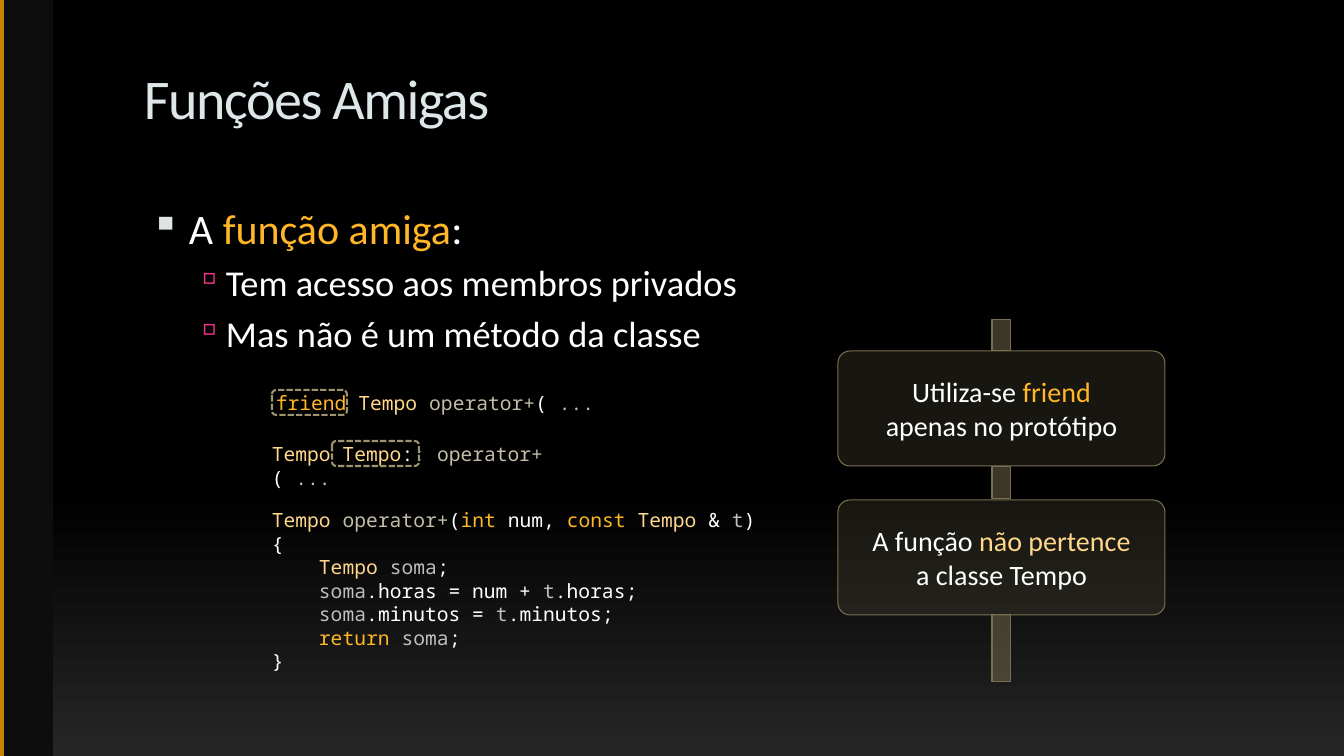
import lxml.etree
import pptx
import pptx.dml.color
import pptx.enum.dml
import pptx.enum.shapes
import pptx.enum.text
import pptx.oxml.ns
import pptx.util

SHAPE = pptx.enum.shapes.MSO_SHAPE
ALIGN = pptx.enum.text.PP_ALIGN
SANS, MONO = "Calibri", "Noto Sans Mono"
WHITE, AMBER, CREAM = "FFFFFF", "FFB728", "FFD88B"
SAND, GREY, OLIVE = "C4BEA9", "BFBFBF", "786F51"


def px(count):
    return pptx.util.Emu(round(count * 914400 / 100.8))


def tint(code):
    return pptx.dml.color.RGBColor.from_string(code)


def add(parent, tag, **attrs):
    """Append a drawing element to its parent."""
    return lxml.etree.SubElement(parent, pptx.oxml.ns.qn(tag), attrs)


class Page:
    def __init__(self, deck):
        self.slide = deck.slides.add_slide(deck.slide_layouts[6])
        self.shapes = self.slide.shapes

    def fade(self, start, end, split):
        """Fill the background downwards, plain until the split."""
        fill = self.slide.background.fill
        fill.gradient()
        fill.gradient_angle = 270
        for stop, code, place in zip(fill.gradient_stops, (start, end), (split, 1)):
            stop.color.rgb = tint(code)
            stop.position = place

    def box(self, kind, x, y, w, h, fill=None, alpha=None, line=None,
            width=0.75, dash=None, round=None):
        shape = self.shapes.add_shape(kind, px(x), px(y), px(w), px(h))
        shape.shadow.inherit = False
        if fill:
            shape.fill.solid()
            shape.fill.fore_color.rgb = tint(fill)
            if alpha:
                code = shape.fill._xPr.find(".//" + pptx.oxml.ns.qn("a:srgbClr"))
                add(code, "a:alpha", val=str(alpha * 1000))
        else:
            shape.fill.background()
        if line:
            shape.line.color.rgb = tint(line)
            shape.line.width = pptx.util.Pt(width)
            if dash:
                shape.line.dash_style = dash
        else:
            shape.line.fill.background()
        if round:
            shape.adjustments[0] = round

    def rule(self, x, y, end, code, width):
        """Draw an upright line."""
        kind = pptx.enum.shapes.MSO_CONNECTOR.STRAIGHT
        line = self.shapes.add_connector(kind, px(x), px(y), px(x), px(end))
        line.line.color.rgb = tint(code)
        line.line.width = pptx.util.Pt(width)
        add(line._element.spPr, "a:effectLst")

    def text(self, x, y, w, h, lines, size, font=SANS, align=None):
        """Write lines, each a list of (words, colour) pairs."""
        frame = self.shapes.add_textbox(px(x), px(y), px(w), px(h)).text_frame
        frame.word_wrap = True
        for i, parts in enumerate(lines):
            par = frame.add_paragraph() if i else frame.paragraphs[0]
            par.alignment = align
            for words, code in parts:
                run = par.add_run()
                run.text = words
                run.font.size = pptx.util.Pt(size)
                run.font.name = font
                run.font.color.rgb = tint(code)
        return frame

    def bullet(self, par, mark, code, scale, left, hang):
        props = par._p.get_or_add_pPr()
        props.set("marL", str(px(left)))
        props.set("indent", str(-px(hang)))
        add(add(props, "a:buClr"), "a:srgbClr", val=code)
        add(props, "a:buSzPct", val=str(scale * 1000))
        add(props, "a:buChar", char=mark)

    def card(self, y, x, w, parts):
        self.box(SHAPE.ROUNDED_RECTANGLE, 838, y, 327, 115, "504A36", 30,
                 OLIVE, round=0.104)
        self.text(x, y + 19, w, 78, [parts], 20, align=ALIGN.CENTER)

    def frame(self, x, y, w):
        """Ring a piece of code with dashes."""
        self.box(SHAPE.ROUNDED_RECTANGLE, x, y, w, 25, line="9D936F", width=1.5,
                 dash=pptx.enum.dml.MSO_LINE.SQUARE_DOT)


def main():
    deck = pptx.Presentation()
    deck.slide_width, deck.slide_height = px(1344), px(756)
    page = Page(deck)
    page.fade("000000", "262626", 0.65)
    page.box(SHAPE.RECTANGLE, 0, 0, 53, 756, "0D0D0D")
    page.rule(2, 0, 756, "C58300", 3)

    title = page.text(134, 59, 959, 98, [[("Funções Amigas", "DDE6E8")]], 40)
    title.paragraphs[0].runs[0]._r.get_or_add_rPr().set("spc", "-100")

    body = page.text(134, 198, 1142, 180, [
        [("A ", WHITE), ("função amiga", AMBER), (":", WHITE)],
        [("Tem acesso aos membros privados", WHITE)],
        [("Mas não é um método da classe", WHITE)]], 26)
    head, *points = body.paragraphs
    page.bullet(head, "▪", "E0E4E5", 95, 45, 38)
    for run in head.runs:
        run.font.size = pptx.util.Pt(30)
    for point in points:
        point.level = 1
        point.space_before = pptx.util.Pt(5.2)
        page.bullet(point, "▫", "F03288", 90, 82, 31)

    page.text(262, 503, 523, 176, [
        [("Tempo ", CREAM), ("operator+", SAND), ("(", WHITE), ("int", AMBER),
         (" num, ", WHITE), ("const ", AMBER), ("Tempo", CREAM), (" & ", WHITE),
         ("t", GREY), (")", WHITE)],
        [("{", WHITE)],
        [("    Tempo ", CREAM), ("soma", GREY), (";", WHITE)],
        [("    soma", GREY), (".horas = num + ", WHITE), ("t", GREY),
         (".horas;", WHITE)],
        [("    soma", GREY), (".minutos = ", WHITE), ("t", GREY),
         (".minutos;", WHITE)],
        [("    return ", AMBER), ("soma", GREY), (";", WHITE)],
        [("}", WHITE)]], 14, MONO)

    call = [("operator+", SAND), ("( ", WHITE), ("...", SAND)]
    page.text(266, 386, 341, 34,
              [[("friend", AMBER), (" Tempo ", CREAM)] + call], 14, MONO)
    page.frame(272, 390, 75)
    page.text(262, 437, 327, 34,
              [[("Tempo Tempo", CREAM), (":: ", WHITE)] + call], 14, MONO)
    page.frame(332, 441, 87)

    page.card(351, 870, 263, [("Utiliza-se ", WHITE), ("friend", AMBER),
                              (" apenas no protótipo", WHITE)])
    page.card(500, 861, 281, [("A função ", WHITE), ("não pertence ", CREAM),
                              ("a classe Tempo", WHITE)])
    for y, h in ((320, 31), (467, 32), (615, 67)):
        page.box(SHAPE.RECTANGLE, 992, y, 19, h, OLIVE, 50, OLIVE)

    deck.save("out.pptx")


if __name__ == "__main__":
    main()
